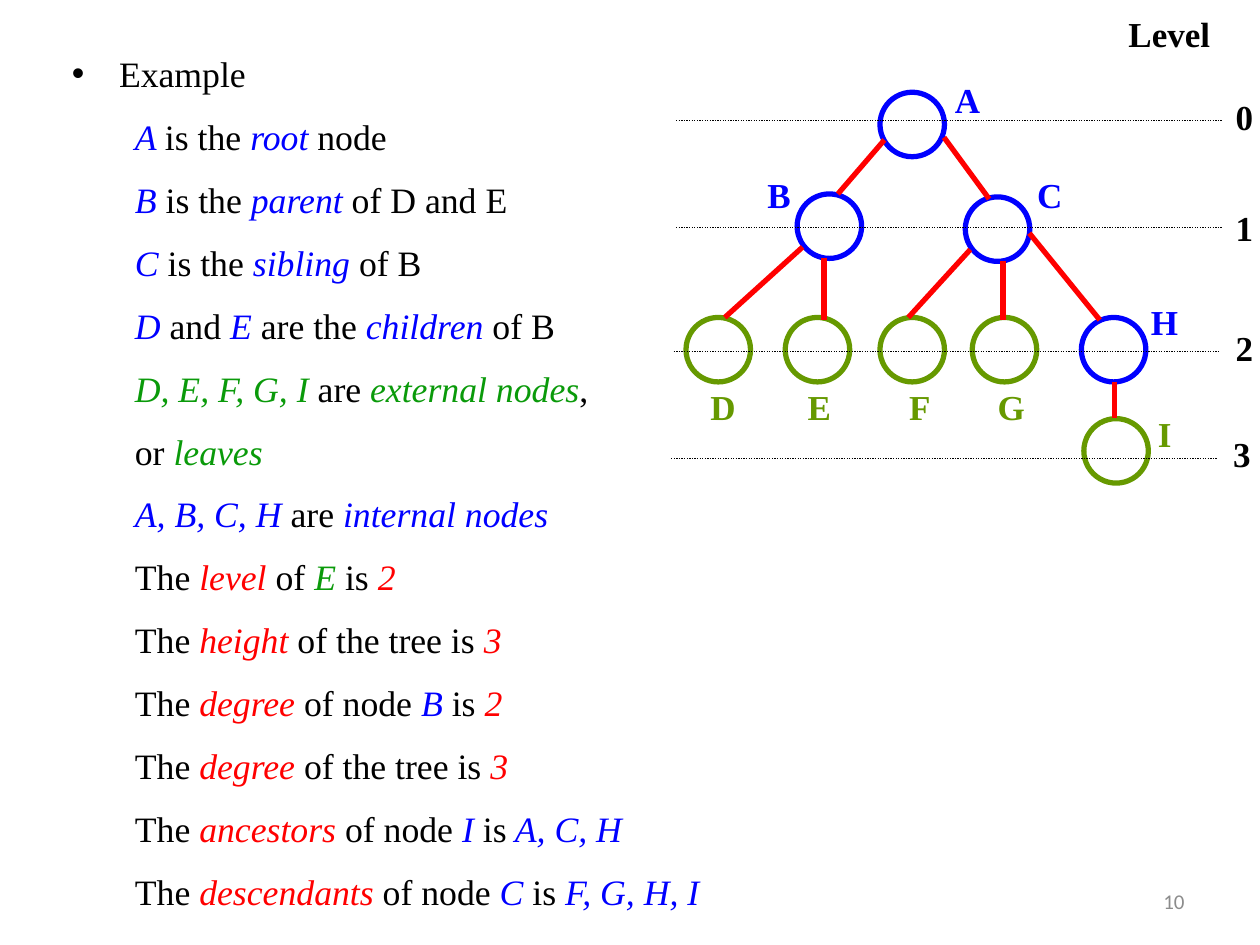
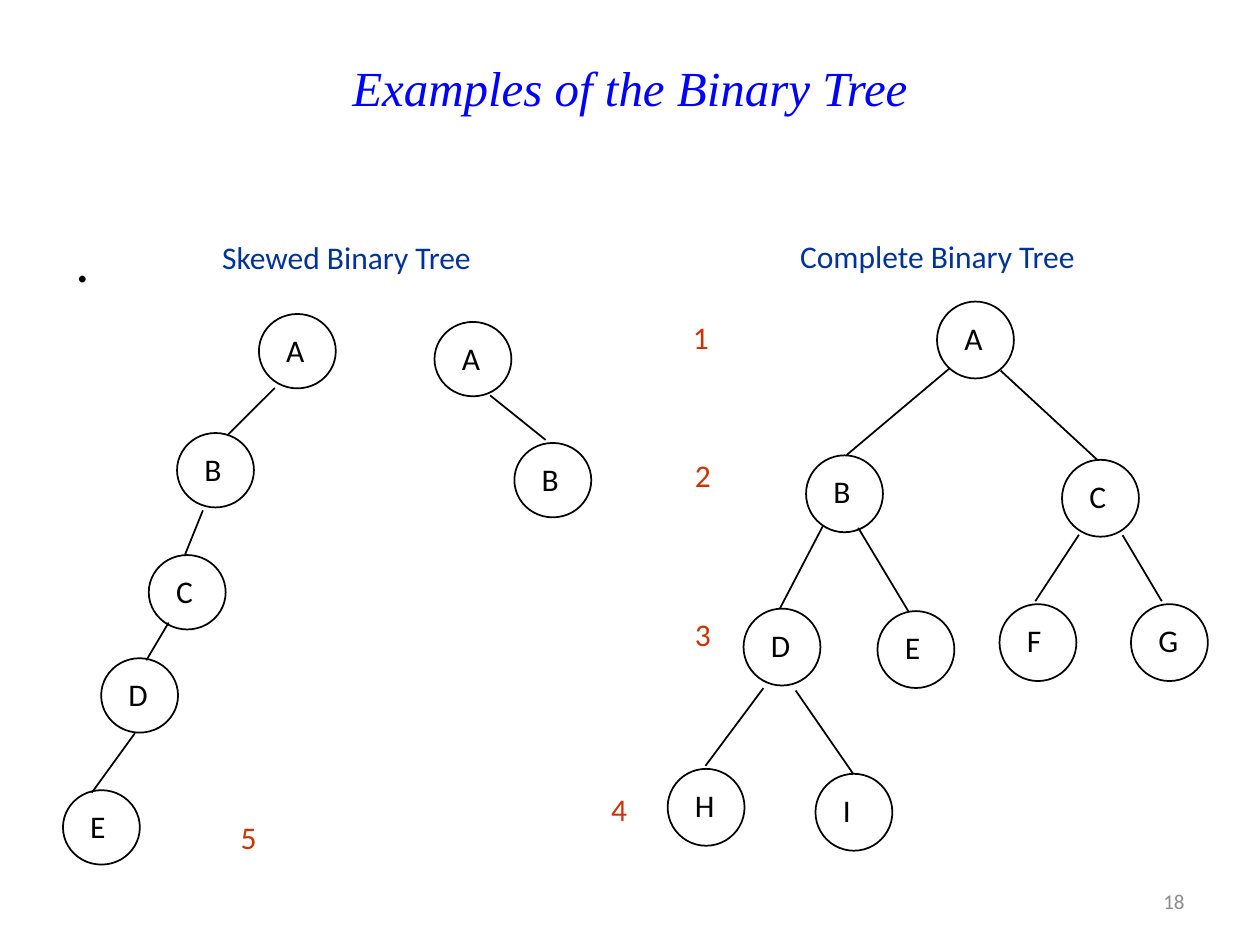
from lxml import etree
from pptx import Presentation
from pptx.dml.color import RGBColor
from pptx.enum import dml, shapes, text
from pptx.oxml import ns
from pptx.util import Cm, Pt

BLUE = RGBColor(0x00, 0x00, 0xFF)
RED = RGBColor(0xFF, 0x00, 0x00)
GREEN = RGBColor(0x0A, 0x9A, 0x0A)
OLIVE = RGBColor(0x66, 0x99, 0x00)
BLACK = RGBColor(0x00, 0x00, 0x00)
GREY = RGBColor(0x8C, 0x8C, 0x8C)
NAVY = RGBColor(0x00, 0x33, 0x99)
RUST = RGBColor(0xCC, 0x33, 0x00)

SERIF = "Times New Roman"
SANS = "Calibri"
LABEL_SIZE = (1.1, 1.1)

# Coloured pieces are set in italics, plain strings in black.
STATEMENTS = [
    [(BLUE, "A "), "is the ", (BLUE, "root "), "node"],
    [(BLUE, "B "), "is the ", (BLUE, "parent "), "of D and E"],
    [(BLUE, "C "), "is the ", (BLUE, "sibling "), "of B"],
    [(BLUE, "D "), "and ", (BLUE, "E "), "are the ", (BLUE, "children "), "of B"],
    [(GREEN, "D, E, F, G, I"), " are ", (GREEN, "external nodes"), ","],
    ["or ", (GREEN, "leaves")],
    [(BLUE, "A, B, C, H "), "are ", (BLUE, "internal nodes")],
    ["The ", (RED, "level"), " of ", (GREEN, "E "), "is ", (RED, "2")],
    ["The ", (RED, "height "), "of the tree is ", (RED, "3")],
    ["The ", (RED, "degree "), "of node ", (BLUE, "B "), "is ", (RED, "2")],
    ["The ", (RED, "degree "), "of the tree is ", (RED, "3")],
    ["The ", (RED, "ancestors "), "of node ", (BLUE, "I "), "is", (BLUE, " A, C, H")],
    ["The ", (RED, "descendants "), "of node ", (BLUE, "C "), "is ",
     (BLUE, "F, G, H, I")],
]

# Letter, circle position, label position, colour
LEVEL_NODES = [
    ("A", (17.74, 1.86), (19.0, 1.45), BLUE),
    ("B", (16.07, 3.91), (15.22, 3.38), BLUE),
    ("C", (19.46, 3.97), (20.66, 3.38), BLUE),
    ("D", (13.83, 6.4), (14.07, 7.64), OLIVE),
    ("E", (15.83, 6.4), (16.03, 7.64), OLIVE),
    ("F", (17.74, 6.4), (18.08, 7.64), OLIVE),
    ("G", (19.6, 6.4), (19.86, 7.64), OLIVE),
    ("H", (21.8, 6.4), (22.95, 5.93), BLUE),
    ("I", (21.85, 8.44), (23.09, 8.2), OLIVE),
]
LEVEL_EDGES = [
    (17.83, 2.82, 16.89, 3.91), (19.03, 2.77, 19.94, 4.01),
    (16.18, 4.98, 14.61, 6.4), (16.61, 5.21, 16.61, 6.45),
    (19.56, 5.03, 18.31, 6.4), (20.22, 5.26, 20.22, 6.45),
    (20.75, 4.7, 22.17, 6.45), (22.46, 7.7, 22.46, 8.43),
]
# Left end and height of each dotted line, top of its number
LEVEL_LINES = [(13.63, 2.43, 1.8), (13.63, 4.59, 4.03),
               (13.58, 7.08, 6.45), (13.53, 9.24, 8.6)]
LEVEL_LINE_LENGTH = 11.02

SKEWED_NODES = [
    ("A", 5.22, 6.33), ("B", 3.57, 8.73), ("C", 3.0, 11.19), ("D", 2.04, 13.27),
    ("E", 1.27, 15.93), ("A", 8.76, 6.49), ("B", 10.37, 8.93),
]
SKEWED_EDGES = [
    (5.54, 7.82, 4.6, 8.76), (4.09, 10.29, 3.73, 11.18),
    (3.4, 12.55, 2.95, 13.31), (2.72, 14.78, 1.85, 15.98),
    (9.88, 7.97, 11.0, 8.87),
]
COMPLETE_NODES = [
    ("A", 18.89, 6.08), ("B", 16.25, 9.18), ("C", 21.41, 9.27),
    ("D", 14.99, 12.27), ("E", 17.69, 12.32), ("F", 20.15, 12.18),
    ("G", 22.8, 12.18), ("H", 13.46, 15.5), ("I", 16.44, 15.6),
]
COMPLETE_EDGES = [
    (19.15, 7.42, 17.07, 9.17), (20.17, 7.47, 22.12, 9.27),
    (16.59, 10.6, 15.72, 12.27), (17.3, 10.64, 18.31, 12.32),
    (21.75, 10.78, 20.87, 12.12), (22.63, 10.79, 23.42, 12.12),
    (15.39, 13.87, 14.22, 15.44), (16.04, 13.92, 17.2, 15.6),
]
DEPTHS = [("1", 13.72, 6.29), ("2", 13.76, 9.07), ("3", 13.76, 12.27),
          ("4", 12.07, 15.8), ("5", 4.6, 16.36)]


def add_run(paragraph, wording, font=SANS, size=18, color=BLACK,
            bold=False, italic=False):
    run = paragraph.add_run()
    run.text = wording
    run.font.name = font
    run.font.size = Pt(size)
    run.font.color.rgb = color
    run.font.bold = bold
    run.font.italic = italic


def add_text(slide, wording, left, top, width, height, wrap=True,
             align=text.PP_ALIGN.LEFT, anchor=text.MSO_ANCHOR.TOP, **font):
    """Write one line; unwrapped boxes fit themselves to their text."""
    box = slide.shapes.add_textbox(Cm(left), Cm(top), Cm(width), Cm(height))
    frame = box.text_frame
    frame.word_wrap = wrap
    if not wrap:
        frame.auto_size = text.MSO_AUTO_SIZE.SHAPE_TO_FIT_TEXT
    frame.vertical_anchor = anchor
    paragraph = frame.paragraphs[0]
    paragraph.alignment = align
    if wording:
        add_run(paragraph, wording, **font)
    return frame


def add_circle(slide, left, top, width, height, color, weight):
    circle = slide.shapes.add_shape(shapes.MSO_SHAPE.OVAL, Cm(left), Cm(top),
                                    Cm(width), Cm(height))
    circle.shadow.inherit = False
    circle.fill.background()
    circle.line.color.rgb = color
    circle.line.width = Pt(weight)


def add_line(slide, x1, y1, x2, y2, color=BLACK, weight=1, dash=None):
    line = slide.shapes.add_connector(shapes.MSO_CONNECTOR.STRAIGHT,
                                      Cm(x1), Cm(y1), Cm(x2), Cm(y2))
    line.line.color.rgb = color
    line.line.width = Pt(weight)
    if dash:
        line.line.dash_style = dash
    etree.SubElement(line._element.spPr, ns.qn("a:effectLst"))


def set_indent(paragraph, margin, hanging=0, bullet=None):
    properties = paragraph._p.get_or_add_pPr()
    properties.set("marL", str(Cm(margin)))
    properties.set("indent", str(-Cm(hanging)))
    if bullet:
        etree.SubElement(properties, ns.qn("a:buFont")).set("typeface", "Arial")
        etree.SubElement(properties, ns.qn("a:buChar")).set("char", bullet)


def add_statements(slide):
    frame = add_text(slide, "", 1.2, 0.67, 22.86, 17.96)
    heading = frame.paragraphs[0]
    set_indent(heading, 0.95, 0.95, "•")
    heading.line_spacing = 1.3
    add_run(heading, "Example", font=SERIF, size=20.4)
    for statement in STATEMENTS:
        paragraph = frame.add_paragraph()
        set_indent(paragraph, 1.27)
        paragraph.line_spacing = 1.3
        paragraph.space_before = Pt(4.08)
        for piece in statement:
            plain = isinstance(piece, str)
            color, wording = (BLACK, piece) if plain else piece
            add_run(paragraph, wording, font=SERIF, size=20.4, color=color,
                    italic=not plain)


def add_binary_tree(slide, heading, heading_place, nodes, edges, node_height):
    add_text(slide, heading, *heading_place, 8, 1.27, wrap=False, color=NAVY)
    for letter, left, top in nodes:
        add_circle(slide, left, top, 1.55, node_height, BLACK, 1)
        add_text(slide, letter, left + 0.3, top + 0.22, *LABEL_SIZE, wrap=False)
    for edge in edges:
        add_line(slide, *edge)


def new_slide(deck, number):
    slide = deck.slides.add_slide(deck.slide_layouts[6])
    add_text(slide, number, 18.21, 17.65, 5.92, 1.02, size=12, color=GREY,
             align=text.PP_ALIGN.RIGHT, anchor=text.MSO_ANCHOR.MIDDLE)
    return slide


def build_terms_slide(deck):
    slide = new_slide(deck, "10")
    add_statements(slide)
    label_font = {"font": SERIF, "size": 20, "bold": True, "wrap": False}
    for letter, place, label_place, color in LEVEL_NODES:
        add_circle(slide, *place, 1.3, 1.3, color, 3)
        add_text(slide, letter, *label_place, *LABEL_SIZE, color=color, **label_font)
    for edge in LEVEL_EDGES:
        add_line(slide, *edge, color=RED, weight=3)
    add_text(slide, "Level", 22.5, 0.13, 2.26, 1.1, **label_font)
    for level, (left, top, number_top) in enumerate(LEVEL_LINES):
        add_line(slide, left, top, left + LEVEL_LINE_LENGTH, top, weight=0.75,
                 dash=dml.MSO_LINE.ROUND_DOT)
        number_left = 24.61 if level == 3 else 24.66
        add_text(slide, str(level), number_left, number_top, 0.86, 1.1, **label_font)


def build_binary_slide(deck):
    slide = new_slide(deck, "18")
    add_text(slide, "Examples of the Binary Tree", 1.27, 0.72, 22.86, 2.05,
             align=text.PP_ALIGN.CENTER, anchor=text.MSO_ANCHOR.MIDDLE,
             font=SERIF, size=28, color=BLUE, italic=True)
    add_text(slide, ".", 1.27, 4.45, 22.86, 12.57, size=32)
    add_binary_tree(slide, "Complete Binary Tree", (15.88, 4.65),
                    COMPLETE_NODES, COMPLETE_EDGES, 1.55)
    add_binary_tree(slide, "Skewed Binary Tree", (4.23, 4.67),
                    SKEWED_NODES, SKEWED_EDGES, 1.5)
    for depth, left, top in DEPTHS:
        add_text(slide, depth, left, top, 0.94, 1.27, wrap=False, color=RUST)


def main():
    deck = Presentation()
    deck.slide_width, deck.slide_height = Cm(25.4), Cm(19.05)
    build_terms_slide(deck)
    build_binary_slide(deck)
    deck.save("out.pptx")


if __name__ == "__main__":
    main()
